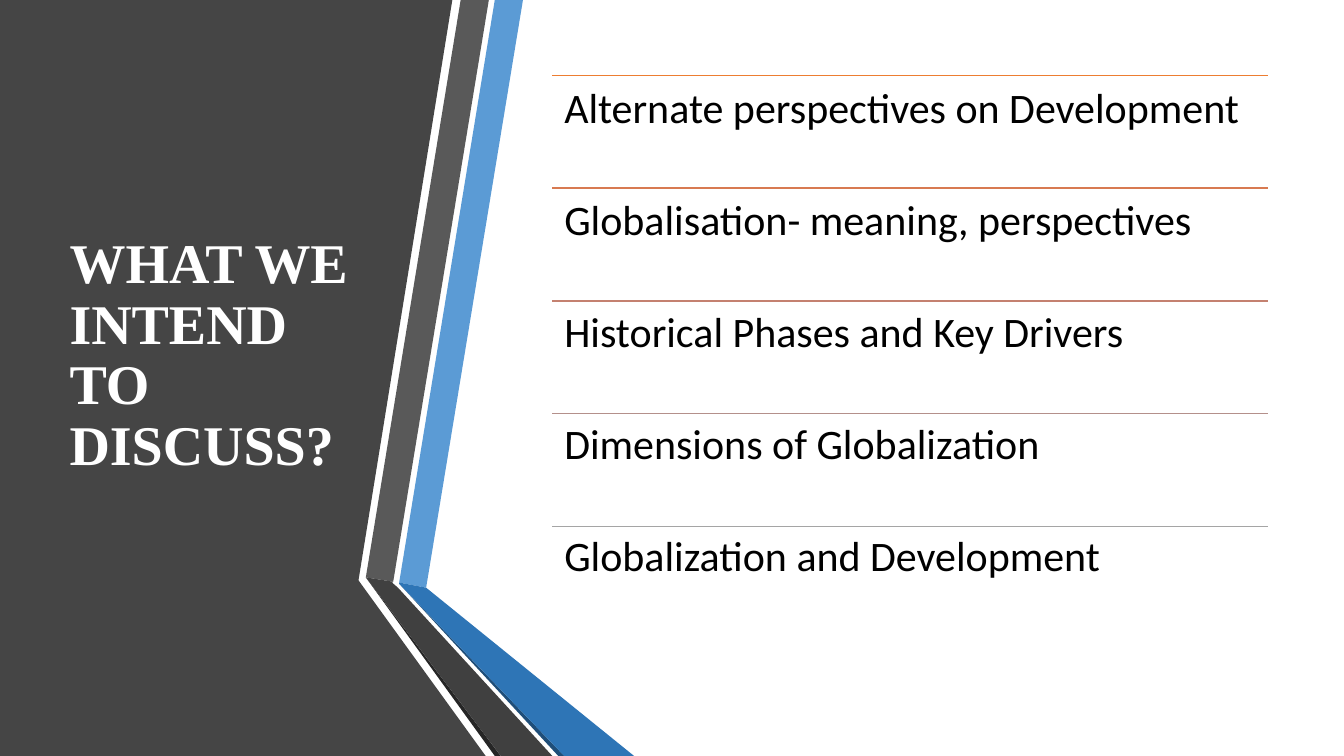
from dataclasses import dataclass

from lxml import etree
from pptx import Presentation
from pptx.dml.color import RGBColor
from pptx.enum.text import MSO_ANCHOR, MSO_AUTO_SIZE, PP_ALIGN
from pptx.enum.shapes import MSO_CONNECTOR
from pptx.oxml.ns import qn
from pptx.util import Cm, Pt

LEFT = PP_ALIGN.LEFT
TOP, MIDDLE = MSO_ANCHOR.TOP, MSO_ANCHOR.MIDDLE
NO_FIT = MSO_AUTO_SIZE.NONE
STRAIGHT = MSO_CONNECTOR.STRAIGHT

SLIDE_W, SLIDE_H = 33.87, 19.05
LIST_LEFT, LIST_TOP, LIST_W = 13.92, 1.9, 18.03
ROW_H = 2.84

COLORS = {
    "panel": "454545",
    "light_blue": "5B9BD5",
    "blue": "2E75B6",
    "dark_blue": "1F4E79",
    "light_gray": "595959",
    "gray": "404040",
    "dark_gray": "262626",
    "white": "FFFFFF",
    "black": "000000",
    "rule_1": "ED7D31",
    "rule_2": "D87A51",
    "rule_3": "C48170",
    "rule_4": "B4908B",
    "rule_5": "A5A5A5",
}


@dataclass(frozen=True)
class Band:
    color: str
    points: tuple[tuple[float, float], ...]


@dataclass(frozen=True)
class Topic:
    text: str
    rule_color: str


@dataclass(frozen=True)
class TextStyle:
    font: dict
    color: str
    paragraph: dict
    frame: dict


BANDS = [
    Band("panel", ((0, 0), (11.4, 0), (9.04, 14.6), (9.04, 14.63),
                   (12.24, SLIDE_H), (0, SLIDE_H))),
    Band("light_blue", ((10.06, 14.68), (10.74, 14.81), (13.18, 0), (12.47, 0))),
    Band("light_gray", ((12.32, 0), (11.61, 0), (9.22, 14.55), (9.91, 14.66))),
    Band("dark_gray", ((9.22, 14.55), (12.47, SLIDE_H), (12.62, SLIDE_H))),
    Band("dark_blue", ((10.06, 14.71), (14.07, SLIDE_H), (14.22, SLIDE_H))),
    Band("blue", ((10.06, 14.71), (14.22, SLIDE_H), (15.98, SLIDE_H),
                  (10.74, 14.81), (10.06, 14.68))),
    Band("gray", ((13.92, SLIDE_H), (10.03, 14.81), (9.88, 14.68),
                  (9.91, 14.66), (9.22, 14.55), (12.62, SLIDE_H))),
]

TOPICS = [
    Topic("Alternate perspectives on Development", "rule_1"),
    Topic("Globalisation- meaning, perspectives", "rule_2"),
    Topic("Historical Phases and Key Drivers", "rule_3"),
    Topic("Dimensions of Globalization", "rule_4"),
    Topic("Globalization and Development", "rule_5"),
]

TITLE_STYLE = TextStyle(
    font={"name": "Times New Roman", "size": Pt(40), "bold": True},
    color="white",
    paragraph={"alignment": LEFT, "line_spacing": 0.9, "space_before": Pt(0)},
    frame={"word_wrap": True, "auto_size": NO_FIT, "vertical_anchor": MIDDLE},
)

LIST_STYLE = TextStyle(
    font={"name": "Calibri", "size": Pt(30), "bold": False},
    color="black",
    paragraph={"alignment": LEFT, "line_spacing": 0.9,
               "space_before": Pt(0), "space_after": Pt(47.5)},
    frame={"word_wrap": True, "auto_size": NO_FIT, "vertical_anchor": TOP,
           "margin_left": Cm(0.3), "margin_right": Cm(0.3),
           "margin_top": Cm(0.3), "margin_bottom": Cm(0.3)},
)


def rgb(name: str) -> RGBColor:
    return RGBColor.from_string(COLORS[name])


def set_attributes(target, values: dict) -> None:
    for name, value in values.items():
        setattr(target, name, value)


def place(shape, left: float, top: float, width: float, height: float) -> None:
    set_attributes(shape, {"left": Cm(left), "top": Cm(top),
                           "width": Cm(width), "height": Cm(height)})


def fill_placeholder(shape, lines: list[str], style: TextStyle) -> None:
    """Write one unbulleted paragraph per line in the given style."""
    tf = shape.text_frame
    set_attributes(tf, style.frame)
    tf.text = "\n".join(lines)
    for p in tf.paragraphs:
        set_attributes(p, style.paragraph)
        p_pr = p._p.get_or_add_pPr()
        p_pr.set("marL", "0")
        p_pr.set("indent", "0")
        etree.SubElement(p_pr, qn("a:buNone"))
        for r in p.runs:
            set_attributes(r.font, style.font)
            r.font.color.rgb = rgb(style.color)


def add_band(s, band: Band, title) -> None:
    """Draw a filled outline and put it behind the title."""
    start, *rest = [(Cm(x), Cm(y)) for x, y in band.points]
    builder = s.shapes.build_freeform(*start)
    builder.add_line_segments(rest, close=True)
    sp = builder.convert_to_shape()
    sp.shadow.inherit = False
    sp.fill.solid()
    sp.fill.fore_color.rgb = rgb(band.color)
    sp.line.fill.background()
    title.element.addprevious(sp.element)


def add_rule(s, top: float, color: str) -> None:
    rule = s.shapes.add_connector(STRAIGHT, Cm(LIST_LEFT), Cm(top),
                                  Cm(LIST_LEFT + LIST_W), Cm(top))
    rule.line.color.rgb = rgb(color)
    rule.line.width = Pt(1)
    etree.SubElement(rule.element.spPr, qn("a:effectLst"))


def main() -> None:
    prs = Presentation()
    prs.slide_width, prs.slide_height = Cm(SLIDE_W), Cm(SLIDE_H)
    s = prs.slides.add_slide(prs.slide_layouts[1])
    title, body = s.shapes.title, s.placeholders[1]

    for band in BANDS:
        add_band(s, band, title)

    place(title, 1.5, 1.9, 7.72, 14.17)
    fill_placeholder(title, ["WHAT WE INTEND TO DISCUSS?"], TITLE_STYLE)

    place(body, LIST_LEFT, LIST_TOP, LIST_W, ROW_H * len(TOPICS))
    fill_placeholder(body, [topic.text for topic in TOPICS], LIST_STYLE)
    for i, topic in enumerate(TOPICS):
        add_rule(s, LIST_TOP + i * ROW_H, topic.rule_color)

    prs.save("out.pptx")


if __name__ == "__main__":
    main()
